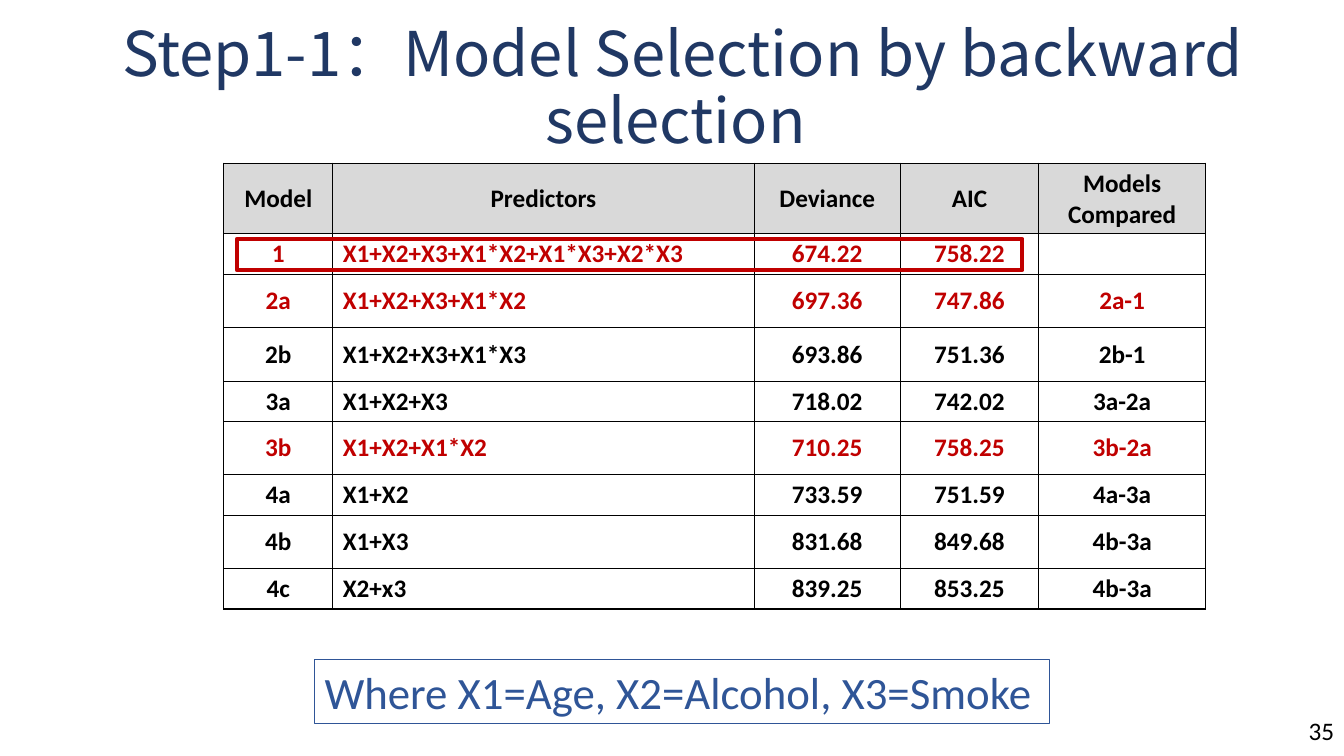
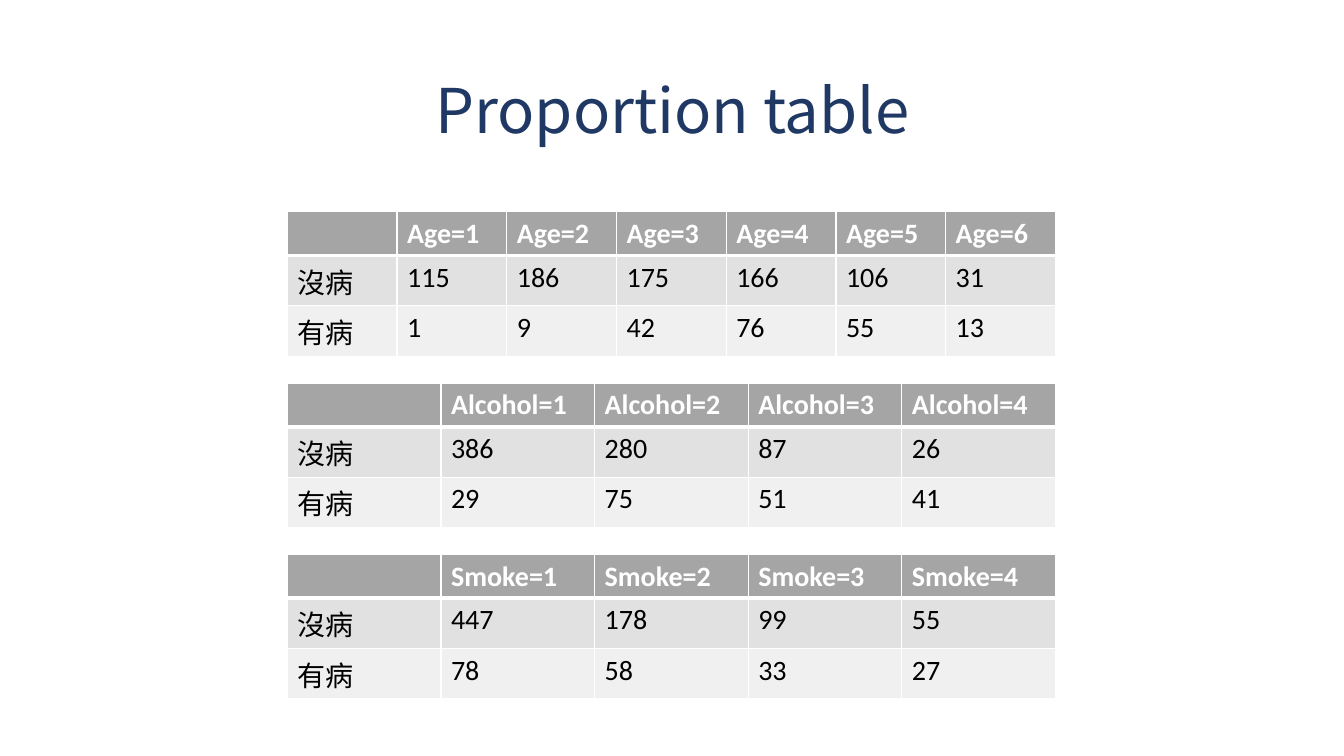
from dataclasses import dataclass

import pptx
import pptx.dml.color
import pptx.enum.shapes
import pptx.enum.text
import pptx.oxml.ns
import pptx.util
from lxml import etree
from pptx.util import Inches

ALIGN = pptx.enum.text.PP_ALIGN
ANCHOR = pptx.enum.text.MSO_ANCHOR
qn = pptx.oxml.ns.qn

# Shared colours and fonts
NAVY, BLUE, RED = "203864", "2F5597", "C00000"
BLACK, WHITE = "000000", "FFFFFF"
LIGHT_GREY, MID_GREY = "D9D9D9", "A5A5A5"
BANDS = ("E1E1E1", "F0F0F0")
LATIN, TITLE_FONT, CHINESE = "Calibri", "Noto Sans CJK SC", "Noto Sans CJK TC"


@dataclass(frozen=True)
class Box:
    left: float
    top: float
    width: float
    height: float

    def lengths(self) -> tuple:
        return tuple(Inches(v) for v in (self.left, self.top, self.width, self.height))


@dataclass(frozen=True)
class TextStyle:
    size: float
    color: str
    font: str = LATIN
    bold: bool = False
    align: ALIGN = ALIGN.LEFT
    anchor: ANCHOR = ANCHOR.TOP
    spacing: float = 1.0


@dataclass(frozen=True)
class CountTable:
    factor: str
    healthy: tuple
    ill: tuple


TITLE = TextStyle(44, NAVY, TITLE_FONT, align=ALIGN.CENTER, anchor=ANCHOR.MIDDLE, spacing=0.9)

# Model selection: columns, rows and the models in red
MODEL_WIDTHS = (1.08, 4.18, 1.45, 1.37, 1.66)
MODEL_HEIGHTS = (0.7, 0.4, 0.53, 0.53, 0.4, 0.53, 0.4, 0.53, 0.4)
RED_MODELS = {"1", "2a", "3b"}
MODELS = (
    ("Model", "Predictors", "Deviance", "AIC", "Models Compared"),
    ("1", "X1+X2+X3+X1*X2+X1*X3+X2*X3", "674.22", "758.22", ""),
    ("2a", "X1+X2+X3+X1*X2", "697.36", "747.86", "2a-1"),
    ("2b", "X1+X2+X3+X1*X3", "693.86", "751.36", "2b-1"),
    ("3a", "X1+X2+X3", "718.02", "742.02", "3a-2a"),
    ("3b", "X1+X2+X1*X2", "710.25", "758.25", "3b-2a"),
    ("4a", "X1+X2", "733.59", "751.59", "4a-3a"),
    ("4b", "X1+X3", "831.68", "849.68", "4b-3a"),
    ("4c", "X2+x3", "839.25", "853.25", "4b-3a"),
)

# Proportion tables, stacked at an even pitch
COUNT_TABLES = (
    CountTable("Age", (115, 186, 175, 166, 106, 31), (1, 9, 42, 76, 55, 13)),
    CountTable("Alcohol", (386, 280, 87, 26), (29, 75, 51, 41)),
    CountTable("Smoke", (447, 178, 99, 55), (78, 58, 33, 27)),
)
COUNT_LEFT, COUNT_TOP, COUNT_WIDTH, COUNT_PITCH = 2.85, 2.1, 7.62, 1.7
COUNT_HEIGHTS = (0.43, 0.5, 0.5)


def rgb(color: str) -> pptx.dml.color.RGBColor:
    return pptx.dml.color.RGBColor.from_string(color)


def write(frame, text: str, style: TextStyle) -> None:
    frame.word_wrap = True
    paragraph = frame.paragraphs[0]
    paragraph.text = text
    paragraph.alignment = style.align
    paragraph.line_spacing = style.spacing
    font = paragraph.font
    font.size, font.bold, font.name = pptx.util.Pt(style.size), style.bold, style.font
    font.color.rgb = rgb(style.color)
    # East Asian characters need their own typeface entry
    defaults = paragraph._p.find(f"{qn('a:pPr')}/{qn('a:defRPr')}")
    etree.SubElement(defaults, qn("a:ea"), typeface=style.font)


def add_text(slide, box: Box, text: str, style: TextStyle) -> None:
    frame = slide.shapes.add_textbox(*box.lengths()).text_frame
    write(frame, text, style)
    frame.vertical_anchor = style.anchor


def add_frame(slide, box: Box, color: str, weight: float):
    frame = slide.shapes.add_shape(pptx.enum.shapes.MSO_SHAPE.RECTANGLE, *box.lengths())
    frame.shadow.inherit = False
    frame.fill.background()
    frame.line.color.rgb = rgb(color)
    frame.line.width = pptx.util.Pt(weight)
    return frame


def add_grid(slide, left: float, top: float, widths: tuple, heights: tuple):
    box = Box(left, top, sum(widths), sum(heights))
    grid = slide.shapes.add_table(len(heights), len(widths), *box.lengths()).table
    grid.first_row = grid.horz_banding = False
    for column, width in zip(grid.columns, widths):
        column.width = Inches(width)
    for row, height in zip(grid.rows, heights):
        row.height = Inches(height)
    return grid


def fill_cell(cell, text: str, style: TextStyle, fill: str | None,
              border: str, top: float = 1, bottom: float = 1) -> None:
    properties = cell._tc.get_or_add_tcPr()
    for side, weight in (("L", 1), ("R", 1), ("T", top), ("B", bottom)):
        line = etree.SubElement(properties, qn(f"a:ln{side}"), w=str(pptx.util.Pt(weight)))
        etree.SubElement(etree.SubElement(line, qn("a:solidFill")), qn("a:srgbClr"), val=border)
    if fill is None:
        cell.fill.background()
    else:
        cell.fill.solid()
        cell.fill.fore_color.rgb = rgb(fill)
    cell.vertical_anchor = style.anchor
    if text:
        write(cell.text_frame, text, style)


def add_model_table(slide) -> None:
    grid = add_grid(slide, 2.22, 1.62, MODEL_WIDTHS, MODEL_HEIGHTS)
    for r, model in enumerate(MODELS):
        color = RED if model[0] in RED_MODELS else BLACK
        for c, text in enumerate(model):
            align = ALIGN.LEFT if r and c == 1 else ALIGN.CENTER
            style = TextStyle(18, color, bold=True, align=align, anchor=ANCHOR.MIDDLE)
            fill_cell(grid.cell(r, c), text, style, None if r else LIGHT_GREY, BLACK)


def add_count_table(slide, top: float, counts: CountTable) -> None:
    levels = len(counts.healthy)
    rows = (
        ("", *(f"{counts.factor}={level}" for level in range(1, levels + 1))),
        ("沒病", *counts.healthy),
        ("有病", *counts.ill),
    )
    widths = (COUNT_WIDTH / (levels + 1),) * (levels + 1)
    grid = add_grid(slide, COUNT_LEFT, top, widths, COUNT_HEIGHTS)
    header = TextStyle(20, WHITE, bold=True)
    for r, row in enumerate(rows):
        for c, value in enumerate(row):
            style = TextStyle(20, BLACK, LATIN if c else CHINESE) if r else header
            fill_cell(grid.cell(r, c), str(value), style, BANDS[r - 1] if r else MID_GREY,
                      WHITE, top=3 if r == 1 else 1, bottom=1 if r else 3)


def build_selection(slide) -> None:
    add_text(slide, Box(12.88, 7.05, 0.46, 0.4), "35", TextStyle(18, BLACK))
    add_model_table(slide)
    add_frame(slide, Box(2.35, 2.37, 7.79, 0.31), RED, 3)
    add_text(slide, Box(0.43, 0.17, 12.68, 1.45),
             "Step1-1：Model Selection by backward selection ", TITLE)
    legend = add_frame(slide, Box(3.12, 6.54, 7.29, 0.64), BLUE, 0.75)
    write(legend.text_frame, "Where X1=Age, X2=Alcohol, X3=Smoke", TextStyle(32, BLUE))


def build_proportions(slide) -> None:
    add_text(slide, Box(0.92, 0.4, 11.5, 1.45), "Proportion table", TITLE)
    for i, counts in enumerate(COUNT_TABLES):
        add_count_table(slide, COUNT_TOP + i * COUNT_PITCH, counts)


def main() -> None:
    deck = pptx.Presentation()
    deck.slide_width, deck.slide_height = Inches(13.33), Inches(7.5)
    for build in (build_selection, build_proportions):
        build(deck.slides.add_slide(deck.slide_layouts[6]))
    deck.save("out.pptx")


if __name__ == "__main__":
    main()
